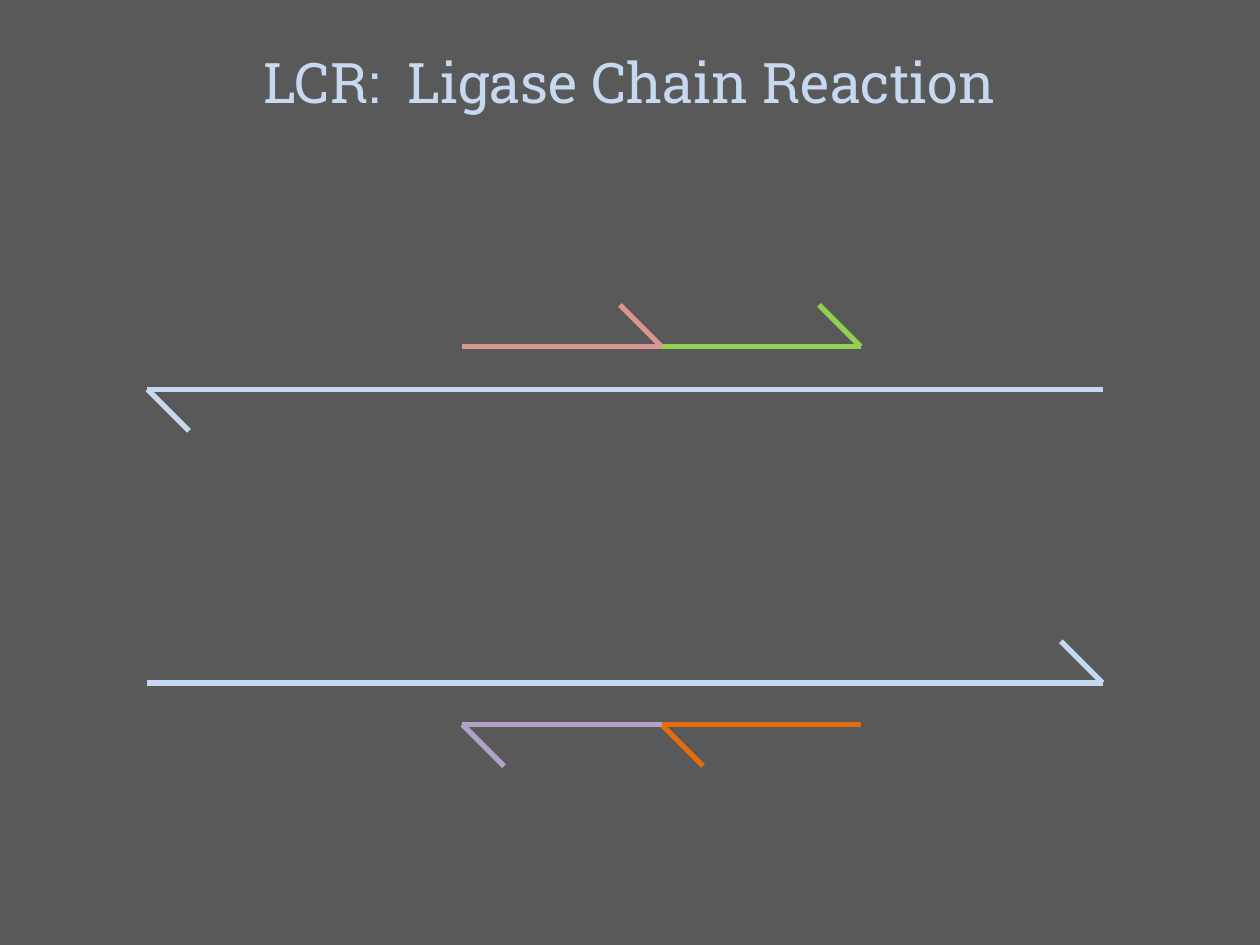
from dataclasses import dataclass
from math import copysign

from lxml.etree import SubElement
from pptx import Presentation
from pptx.dml.color import RGBColor
from pptx.enum.shapes import MSO_CONNECTOR as Connector
from pptx.enum.text import MSO_AUTO_SIZE as AutoSize, PP_ALIGN as Align
from pptx.oxml.ns import qn
from pptx.util import Inches, Pt


@dataclass(frozen=True)
class Theme:
    background: str = "595959"
    pale_blue: str = "C6D9F1"
    pink: str = "D99694"
    green: str = "92D050"
    orange: str = "E46C0A"
    purple: str = "B3A2C7"
    font: str = "Roboto Slab"
    title_size: int = 32
    line_width: int = 3


THEME = Theme()
BARB = 0.33
LEFT, RIGHT = 1.17, 8.75
PROBE_START, JUNCTION, PROBE_END = 3.67, 5.25, 6.83
STRANDS = [
    (LEFT, RIGHT, 3.09, THEME.pale_blue),
    (RIGHT, LEFT, 5.42, THEME.pale_blue),
    (JUNCTION, PROBE_START, 2.75, THEME.pink),
    (PROBE_END, JUNCTION, 2.75, THEME.green),
    (JUNCTION, PROBE_END, 5.75, THEME.orange),
    (PROBE_START, JUNCTION, 5.75, THEME.purple),
]


def add_text(slide, text, *, left, top, width, height, size, color, align=Align.CENTER):
    shape = slide.shapes.add_textbox(*map(Inches, (left, top, width, height)))
    frame = shape.text_frame
    frame.word_wrap = True
    frame.auto_size = AutoSize.SHAPE_TO_FIT_TEXT
    paragraph = frame.paragraphs[0]
    paragraph.alignment = align
    run = paragraph.add_run()
    run.text = text
    run.font.name = THEME.font
    run.font.size = Pt(size)
    run.font.color.rgb = RGBColor.from_string(color)


def add_line(slide, start, end, color):
    line = slide.shapes.add_connector(Connector.STRAIGHT, *map(Inches, (*start, *end)))
    line.line.color.rgb = RGBColor.from_string(color)
    line.line.width = Pt(THEME.line_width)
    SubElement(line._element.spPr, qn("a:effectLst"))


def add_strand(slide, tip, tail, y, color):
    barb = copysign(BARB, tail - tip)
    add_line(slide, (tip, y), (tail, y), color)
    add_line(slide, (tip, y), (tip + barb, y + barb), color)


def main():
    presentation = Presentation()
    presentation.slide_width = Inches(10)
    presentation.slide_height = Inches(7.5)
    slide = presentation.slides.add_slide(presentation.slide_layouts[6])
    slide.background.fill.solid()
    slide.background.fill.fore_color.rgb = RGBColor.from_string(THEME.background)

    add_text(slide, "LCR:  Ligase Chain Reaction", left=0, top=0.33, width=10,
             height=0.64, size=THEME.title_size, color=THEME.pale_blue)
    for strand in STRANDS:
        add_strand(slide, *strand)

    presentation.save("out.pptx")


if __name__ == "__main__":
    main()
